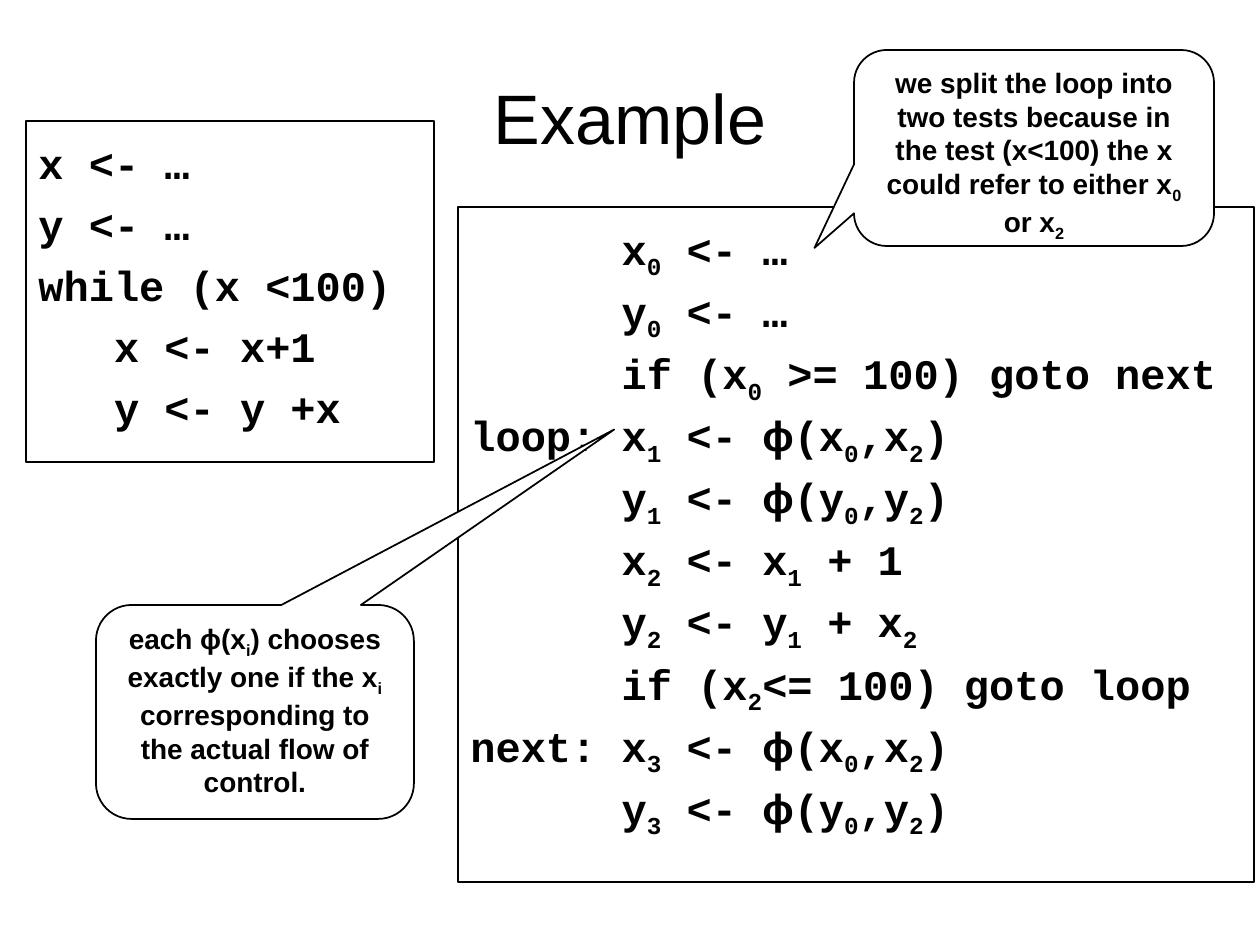
from pptx import Presentation
from pptx.dml.color import RGBColor
from pptx.enum.shapes import MSO_SHAPE as SHAPE
from pptx.enum.text import MSO_ANCHOR as ANCHOR, PP_ALIGN as ALIGN
from pptx.util import Inches, Pt

PX = Inches(1) / 126
BLACK = RGBColor(0, 0, 0)
WHITE = RGBColor(255, 255, 255)
SANS, MONO = "Arial", "Courier New"


def add_box(kind, x, y, w, h, line, fill=None, top=6):
    """Outlined shape with its text starting at the top."""
    sp = s.shapes.add_shape(kind, *(round(v * PX) for v in (x, y, w, h)))
    sp.shadow.inherit = False
    sp.line.color.rgb = BLACK
    sp.line.width = Pt(line)
    if fill is None:
        sp.fill.background()
    else:
        sp.fill.solid()
        sp.fill.fore_color.rgb = fill
    tf = sp.text_frame
    tf.word_wrap = True
    tf.vertical_anchor = ANCHOR.TOP
    tf.margin_top = round(top * PX)
    return sp


def add_text(tf, lines, font, size, bold=True, align=ALIGN.LEFT, before=0, spacing=None):
    """One paragraph a line; the character after _ is a subscript."""
    for i, line in enumerate(lines):
        p = tf.paragraphs[0] if i == 0 else tf.add_paragraph()
        p.alignment = align
        p.line_spacing = spacing
        if i and before:
            p.space_before = Pt(before)
        p.font.size, p.font.bold = Pt(size), bold
        p.font.color.rgb = BLACK
        p.font.name = font
        first, *rest = line.split("_")
        pieces = [(first, False)]
        for part in rest:
            pieces += [(part[0], True), (part[1:], False)]
        for piece, is_sub in pieces:
            head, phi, tail = piece.partition("ϕ")
            for text in filter(None, (head, phi, tail)):
                r = p.add_run()
                r.text = text
                if text == "ϕ" and font != SANS:
                    r.font.name = SANS
                if is_sub:
                    r._r.get_or_add_rPr().set("baseline", "-25000")


prs = Presentation()
prs.slide_width, prs.slide_height = Inches(10), Inches(7.5)
s = prs.slides.add_slide(prs.slide_layouts[6])

# Title
title = s.shapes.add_textbox(*(round(v * PX) for v in (63, 38, 1134, 157)))
title.text_frame.word_wrap = True
title.text_frame.vertical_anchor = ANCHOR.MIDDLE
add_text(title.text_frame, ["Example"], SANS, 40, bold=False, align=ALIGN.CENTER)

# Source program
source = add_box(SHAPE.RECTANGLE, 26, 121, 408, 341, 0.75, top=17)
add_text(source.text_frame, [
    "x <- …",
    "y <- …",
    "while (x <100)",
    "   x <- x+1",
    "   y <- y +x",
], MONO, 24, before=6)

# Program in SSA form
ssa = add_box(SHAPE.RECTANGLE, 458, 207, 796, 675, 1, top=17)
add_text(ssa.text_frame, [
    "      x_0 <- …",
    "      y_0 <- …",
    "      if (x_0 >= 100) goto next",
    "loop: x_1 <- ϕ(x_0,x_2)",
    "      y_1 <- ϕ(y_0,y_2)",
    "      x_2 <- x_1 + 1",
    "      y_2 <- y_1 + x_2",
    "      if (x_2<= 100) goto loop",
    "next: x_3 <- ϕ(x_0,x_2)",
    "      y_3 <- ϕ(y_0,y_2)",
], MONO, 24, before=6, spacing=0.9)

# Callouts: place, pointer tip, text
callouts = [
    ((96, 605, 318, 214), (1.13, -1.32),
     "each ϕ(x_i) chooses exactly one if the x_i corresponding to the actual flow of control."),
    ((854, 50, 360, 196), (-0.61, 0.51),
     "we split the loop into two tests because in the test (x<100) the x "
     "could refer to either x_0 or x_2"),
]
for place, tip, text in callouts:
    sp = add_box(SHAPE.ROUNDED_RECTANGULAR_CALLOUT, *place, 1, WHITE)
    sp.adjustments[0], sp.adjustments[1] = tip
    add_text(sp.text_frame, [text], SANS, 16, align=ALIGN.CENTER)

prs.save("out.pptx")
